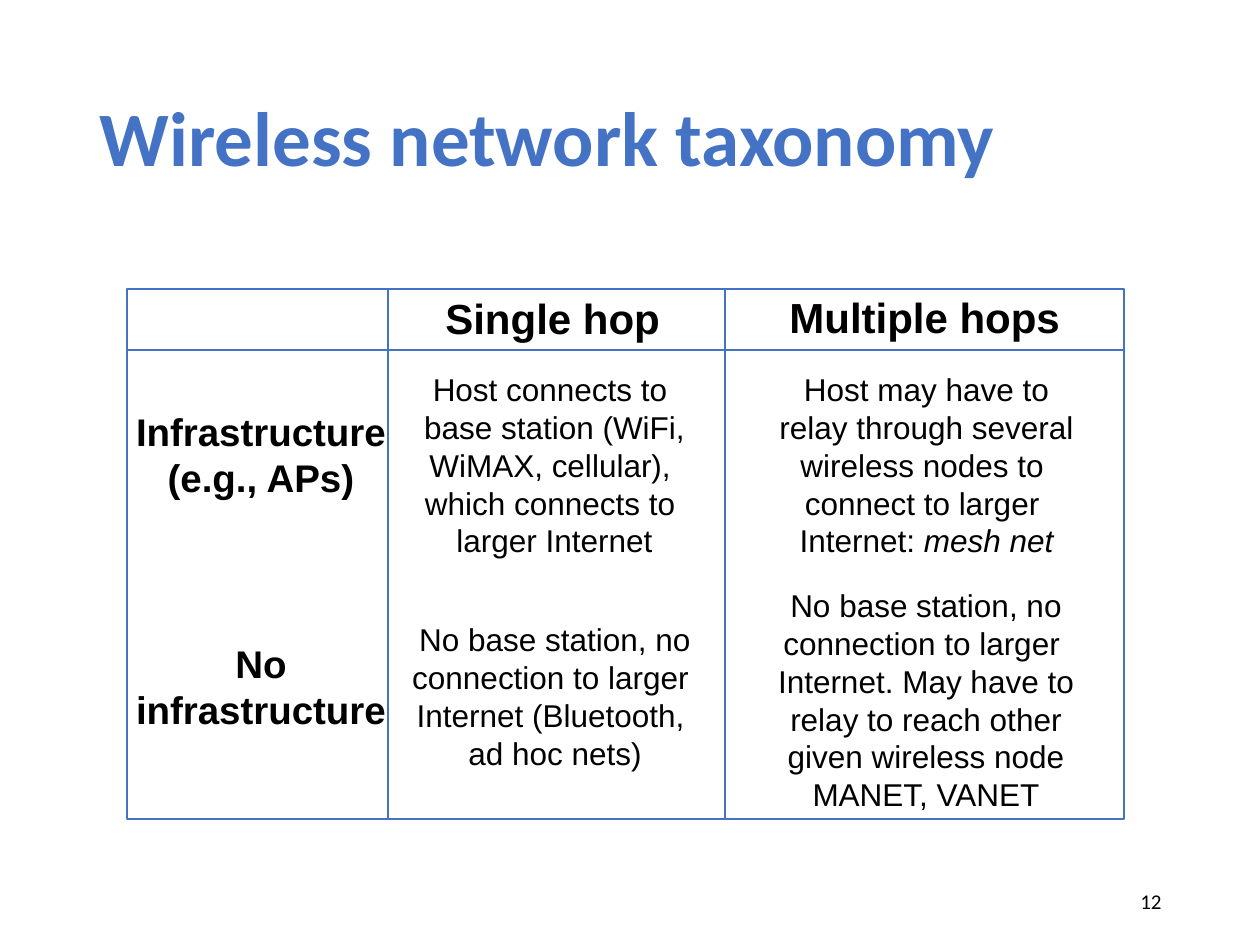
from dataclasses import dataclass

from pptx import Presentation, util as u
from pptx.dml.color import RGBColor
from pptx.enum import shapes, text
from pptx.oxml.ns import qn
from lxml import etree


@dataclass(frozen=True)
class Theme:
    blue: RGBColor = RGBColor(0x44, 0x72, 0xC4)
    black: RGBColor = RGBColor(0, 0, 0)
    head: str = "Calibri"
    body: str = "Arial"
    title: int = 44
    column: int = 24
    row: int = 22
    cell: int = 18
    page: int = 12
    line: float = 1.5


T = Theme()
PX = 914400 / 126
A = text.PP_ALIGN


def px(*vals):
    return [u.Emu(round(v * PX)) for v in vals]


def style(para, size, face=T.body, color=T.black, bold=False, align=A.CENTER):
    para.alignment = align
    font = para.font
    font.name, font.size, font.bold = face, u.Pt(size), bold
    font.color.rgb = color


prs = Presentation()
prs.slide_width, prs.slide_height = px(1260, 945)
slide = prs.slides.add_slide(prs.slide_layouts[5])

# Title
title = slide.shapes.title
title.left, title.top, title.width, title.height = px(87, 50, 1086, 183)
title.text_frame.text = "Wireless network taxonomy"
title.text_frame.vertical_anchor = text.MSO_ANCHOR.MIDDLE
para = title.text_frame.paragraphs[0]
style(para, T.title, T.head, T.blue, True, A.LEFT)
para.line_spacing = 0.9

# Grid texts: box, size, bold, alignment, lines
texts = [
    ((433, 286, 242, 63), T.column, True, A.LEFT, ["Single hop"]),
    ((777, 285, 299, 63), T.column, True, A.LEFT, ["Multiple hops"]),
    ((122, 402, 278, 106), T.row, True, A.CENTER,
     ["Infrastructure", "(e.g., APs)"]),
    ((122, 634, 278, 106), T.row, True, A.CENTER, ["No", "infrastructure"]),
    ((410, 364, 289, 204), T.cell, False, A.CENTER,
     ["Host connects to ", "base station (WiFi,", "WiMAX, cellular), ",
      "which connects to ", "larger Internet"]),
    ((398, 614, 314, 165), T.cell, False, A.CENTER,
     ["No base station, no", "connection to larger ",
      "Internet (Bluetooth, ", "ad hoc nets)"]),
    ((765, 364, 323, 204), T.cell, False, A.CENTER,
     ["Host may have to", "relay through several", "wireless nodes to ",
      "connect to larger ", "Internet: *mesh net"]),
    ((764, 580, 324, 242), T.cell, False, A.CENTER,
     ["No base station, no", "connection to larger ",
      "Internet. May have to", "relay to reach other",
      "given wireless node", "MANET, VANET"]),
]
for box, size, bold, align, lines in texts:
    frame = slide.shapes.add_textbox(*px(*box)).text_frame
    frame.word_wrap = False
    frame.auto_size = text.MSO_AUTO_SIZE.SHAPE_TO_FIT_TEXT
    for i, line in enumerate(lines):
        para = frame.add_paragraph() if i else frame.paragraphs[0]
        style(para, size, bold=bold, align=align)
        plain, _, slant = line.partition("*")  # italic after the star
        para.add_run().text = plain
        if slant:
            run = para.add_run()
            run.text = slant
            run.font.italic = True

# Frame and rules
left, top, right, base = 127, 289, 1124, 819
rect = slide.shapes.add_shape(shapes.MSO_SHAPE.RECTANGLE,
                              *px(left, top, right - left, base - top))
rect.shadow.inherit = False
rect.fill.background()
rect.line.color.rgb = T.blue
rect.line.width = u.Pt(T.line)

rules = [(left, 350, right, 350)] + [(x, top, x, base) for x in (388, 725)]
for ends in rules:
    rule = slide.shapes.add_connector(shapes.MSO_CONNECTOR.STRAIGHT, *px(*ends))
    rule.line.color.rgb = T.blue
    rule.line.width = u.Pt(T.line)
    etree.SubElement(rule._element.spPr, qn("a:effectLst"))

# Page number
frame = slide.shapes.add_textbox(*px(890, 876, 284, 50)).text_frame
frame.word_wrap = True
frame.vertical_anchor = text.MSO_ANCHOR.MIDDLE
frame.text = "12"
style(frame.paragraphs[0], T.page, T.head, align=A.RIGHT)

prs.save("out.pptx")
